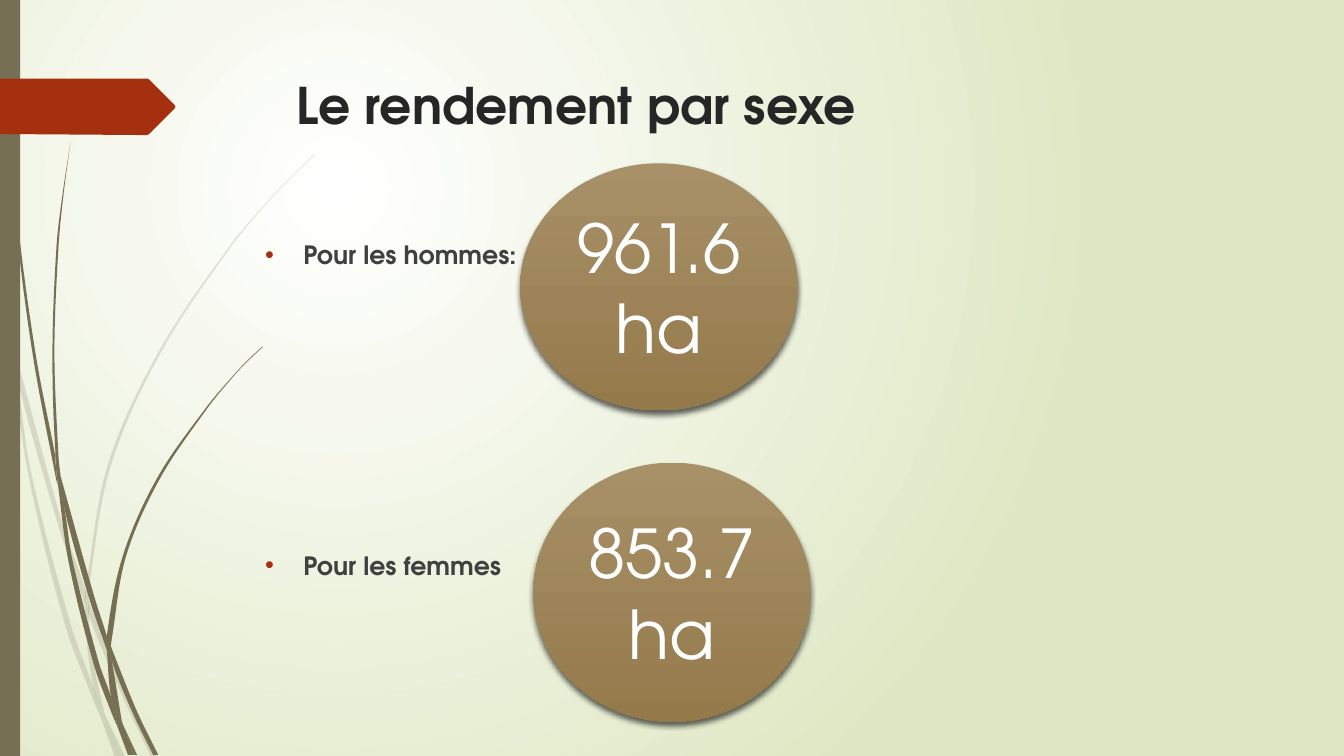
import math

from lxml import etree
from pptx import Presentation
from pptx import util as u
from pptx.dml.color import RGBColor
from pptx.enum import shapes, text
from pptx.oxml import ns

OLIVE = RGBColor(0x76, 0x6F, 0x54)
RUST = RGBColor(0xA5, 0x30, 0x10)
TITLE_GREY = RGBColor(0x26, 0x26, 0x26)
BODY_GREY = RGBColor(0x40, 0x40, 0x40)
WHITE = RGBColor(0xFF, 0xFF, 0xFF)
BLACK = RGBColor(0, 0, 0)
PALE_GREEN = RGBColor(0xDF, 0xE8, 0xC4)
TAN = RGBColor(0xA8, 0x90, 0x68)
BROWN = RGBColor(0x94, 0x7A, 0x4B)

# Each blade of grass is a closed loop of anchors, in inches
FADED_BLADES = [
    [(0.11, 3.5), (0.09, 3.22), (0, 2.82), (0, 2.99), (0.1, 3.44)],
    [(0.58, 5.22), (0.84, 5.99), (0.85, 5.86), (0.62, 5.2), (0.14, 3.45), (0.17, 3.76)],
    [(0.92, 6.07), (0.88, 5.96), (0.88, 6.1), (1.23, 6.94), (1.5, 7.51), (1.55, 7.51),
     (1.27, 6.92)],
    [(1.19, 7.51), (1.24, 7.51), (1.05, 7.11)],
    [(0.93, 6.83), (0.7, 6.19), (0.31, 4.69), (0.17, 3.76), (0.11, 3.5), (0.28, 4.7),
     (0.65, 6.21), (0.92, 6.93), (1.01, 7.14), (0.99, 7.07)],
    [(0.84, 5.99), (0.87, 6.46), (0.93, 6.83), (0.96, 6.92), (1.05, 7.11), (1.03, 7.06),
     (0.91, 6.46), (0.88, 6.1), (0.88, 6.08)],
    [(0.88, 5.84), (1.1, 4.62), (1.6, 3.49), (2.29, 2.45), (2.68, 1.98), (2.9, 1.75),
     (3.12, 1.54), (3.12, 1.53), (2.89, 1.75), (2.68, 1.97), (2.28, 2.44), (1.58, 3.48),
     (1.07, 4.61), (0.85, 5.84), (0.85, 5.86), (0.88, 5.96)],
    [(1.01, 7.14), (1.14, 7.51), (1.19, 7.51)],
    [(0.88, 6.08), (0.88, 6.1), (0.88, 5.96), (0.85, 5.86), (0.84, 5.99)],
    [(0.96, 6.92), (0.93, 6.83), (0.99, 7.07), (1.01, 7.14), (1.19, 7.51), (1.05, 7.11)],
]
SOLID_BLADES = [
    [(0.07, 1.1), (0.17, 2.33), (0.33, 3.55), (0.56, 4.77), (0.57, 4.81), (0.55, 4.57),
     (0.55, 4.53), (0.36, 3.55), (0.19, 2.32), (0.08, 1.09), (0.05, 0.48), (0.04, 0),
     (0.03, 0), (0.04, 0.48)],
    [(0.88, 5.92), (1.06, 6.45), (1.06, 6.33), (1.06, 6.31), (0.93, 5.9), (0.6, 4.72),
     (0.64, 5.05)],
    [(1.13, 6.49), (1.1, 6.41), (1.11, 6.56), (1.32, 7.08), (1.52, 7.49), (1.57, 7.49),
     (1.36, 7.06)],
    [(1.1, 6.91), (0.98, 6.57), (0.72, 5.56), (0.64, 5.05), (0.57, 4.77), (0.68, 5.57),
     (0.93, 6.59), (1.11, 7.08), (1.17, 7.22), (1.16, 7.17)],
    [(0.6, 4.72), (0.58, 4.53), (0.54, 3.49), (0.58, 2.45), (0.63, 1.93), (0.7, 1.41),
     (0.62, 1.93), (0.56, 2.45), (0.52, 3.49), (0.55, 4.49)],
    [(1.33, 7.49), (1.36, 7.49), (1.22, 7.19)],
    [(0.57, 4.77), (0.64, 5.05), (0.6, 4.72), (0.55, 4.49), (0.55, 4.53)],
    [(1.11, 6.33), (1.25, 5.52), (1.58, 4.76), (2.05, 4.06), (2.31, 3.74), (2.45, 3.59),
     (2.61, 3.44), (2.6, 3.44), (2.45, 3.58), (2.31, 3.73), (2.04, 4.05), (1.56, 4.74),
     (1.22, 5.51), (1.06, 6.31), (1.1, 6.41)],
    [(1.17, 7.22), (1.27, 7.49), (1.31, 7.49)],
    [(1.06, 6.45), (1.1, 6.91), (1.16, 7.06), (1.22, 7.19), (1.21, 7.16), (1.11, 6.56),
     (1.09, 6.51)],
    [(1.06, 6.45), (1.09, 6.51), (1.11, 6.56), (1.1, 6.41), (1.06, 6.31), (1.06, 6.33)],
    [(1.16, 7.06), (1.1, 6.91), (1.16, 7.17), (1.17, 7.22), (1.3, 7.49), (1.33, 7.49),
     (1.22, 7.19)],
]
ARROW_TAG = [(0, 0.78), (1.46, 0.78), (1.48, 0.79), (1.73, 1.04), (1.74, 1.06),
             (1.73, 1.08), (1.48, 1.33), (1.46, 1.34), (1.36, 1.34), (0, 1.33)]


def child(parent, tag, **attributes):
    return etree.SubElement(parent, ns.qn(tag), attributes)


def handle(anchor, target, opposite):
    """Bezier handle at an anchor, towards target; sharp corners stay sharp."""
    ahead = math.atan2(target[1] - anchor[1], target[0] - anchor[0])
    behind = math.atan2(anchor[1] - opposite[1], anchor[0] - opposite[0])
    if math.cos(ahead - behind) > 0.8:
        ahead = math.atan2(target[1] - opposite[1], target[0] - opposite[0])
    reach = math.dist(anchor, target) / 3
    return anchor[0] + reach * math.cos(ahead), anchor[1] + reach * math.sin(ahead)


def bend(shape, anchors):
    """Turn the straight sides of a closed freeform into smooth curves."""
    left, top = min(x for x, _ in anchors), min(y for _, y in anchors)
    sides = shape._element.spPr.findall(".//" + ns.qn("a:lnTo"))
    count = len(anchors)
    for i, side in enumerate(sides):
        before, start, end, after = (anchors[(i + k) % count] for k in (-1, 0, 1, 2))
        curve = etree.Element(ns.qn("a:cubicBezTo"))
        for x, y in (handle(start, end, before), handle(end, start, after), end):
            child(curve, "a:pt", x=str(u.Inches(x - left)), y=str(u.Inches(y - top)))
        side.getparent().replace(side, curve)


class Deck:
    font = "TeX Gyre Adventor"

    def __init__(self):
        self.prs = Presentation()
        self.prs.slide_width, self.prs.slide_height = u.Inches(13.33), u.Inches(7.5)
        self.slide = self.prs.slides.add_slide(self.prs.slide_layouts[6])

    def gradient(self, fill, *colours):
        fill.gradient()
        for stop, colour in zip(fill.gradient_stops, colours):
            stop.color.rgb = colour

    def background(self, centre, rim):
        self.gradient(self.slide.background.fill, centre, rim)
        grad = self.slide.background._cSld.find(".//" + ns.qn("a:gradFill"))
        grad.remove(grad.find(ns.qn("a:lin")))
        radial = etree.Element(ns.qn("a:path"), {"path": "circle"})
        child(radial, "a:fillToRect", l="50000", t="50000", r="100000", b="100000")
        grad.find(ns.qn("a:gsLst")).addnext(radial)

    def plain(self, shape, colour):
        shape.shadow.inherit = False
        shape.fill.solid()
        shape.fill.fore_color.rgb = colour
        shape.line.fill.background()
        return shape

    def outline(self, anchors, colour):
        start, *rest = [(u.Inches(x), u.Inches(y)) for x, y in anchors]
        builder = self.slide.shapes.build_freeform(*start)
        builder.add_line_segments([*rest, start], close=True)
        return self.plain(builder.convert_to_shape(), colour)

    def blade(self, anchors, opacity):
        shape = self.outline(anchors, OLIVE)
        bend(shape, anchors)
        if opacity < 100:
            rgb = shape._element.spPr.find(".//" + ns.qn("a:srgbClr"))
            child(rgb, "a:alpha", val=str(opacity * 1000))

    def bar(self, *box):
        self.plain(self.slide.shapes.add_shape(
            shapes.MSO_SHAPE.RECTANGLE, *map(u.Inches, box)), OLIVE)

    def lines(self, frame, lines, size, colour, bold=False):
        frame.word_wrap = True
        for number, words in enumerate(lines):
            paragraph = frame.add_paragraph() if number else frame.paragraphs[0]
            run = paragraph.add_run()
            run.text = words
            run.font.name, run.font.size, run.font.bold = self.font, u.Pt(size), bold
            run.font.color.rgb = colour

    def text_box(self, box, lines, size, colour):
        frame = self.slide.shapes.add_textbox(*map(u.Inches, box)).text_frame
        self.lines(frame, lines, size, colour, bold=True)
        return frame

    def bullets(self, box, lines, size, colour, gap):
        indent = u.Inches(0.38)
        for paragraph in self.text_box(box, lines, size, colour).paragraphs:
            paragraph.space_before = u.Pt(gap)
            props = paragraph._p.get_or_add_pPr()
            props.set("marL", str(indent))
            props.set("indent", str(-indent))
            child(child(props, "a:buClr"), "a:srgbClr", val=str(RUST))
            child(props, "a:buFont", typeface="Arial")
            child(props, "a:buChar", char="•")
            gap = 200

    def yield_disc(self, box, lines):
        disc = self.slide.shapes.add_shape(shapes.MSO_SHAPE.OVAL, *map(u.Inches, box))
        self.gradient(disc.fill, TAN, BROWN)
        disc.fill.gradient_angle = 270
        disc.line.fill.background()
        disc.shadow.inherit = False
        effects = disc._element.spPr.find(ns.qn("a:effectLst"))
        shade = child(effects, "a:outerShdw", blurRad=str(u.Pt(4)), dist=str(u.Pt(3)),
                      dir="5400000", rotWithShape="0")
        child(child(shade, "a:srgbClr", val=str(BLACK)), "a:alpha", val="60000")
        disc.text_frame.vertical_anchor = text.MSO_ANCHOR.MIDDLE
        self.lines(disc.text_frame, lines, 48, WHITE)
        for paragraph in disc.text_frame.paragraphs:
            paragraph.alignment = text.PP_ALIGN.CENTER


def main():
    deck = Deck()
    deck.background(WHITE, PALE_GREEN)

    # Grass, side bar and arrow tag
    for blades, opacity in ((FADED_BLADES, 20), (SOLID_BLADES, 100)):
        for anchors in blades:
            deck.blade(anchors, opacity)
    deck.bar(0, 0, 0.2, 7.5)
    deck.outline(ARROW_TAG, RUST)

    # Title and the two groups
    deck.text_box((2.84, 0.69, 9.75, 1.4), ["Le rendement par sexe"], 36, TITLE_GREY)
    deck.bullets((2.53, 2.33, 9.75, 4.13), ["Pour les hommes:", "Pour les femmes"],
                 18, BODY_GREY, gap=0)

    # Yield of each group
    deck.yield_disc((5.16, 1.62, 2.75, 2.45), ["961.6", "ha"])
    deck.yield_disc((5.29, 4.59, 2.75, 2.57), ["853.7", "ha"])
    deck.prs.save("out.pptx")


if __name__ == "__main__":
    main()
